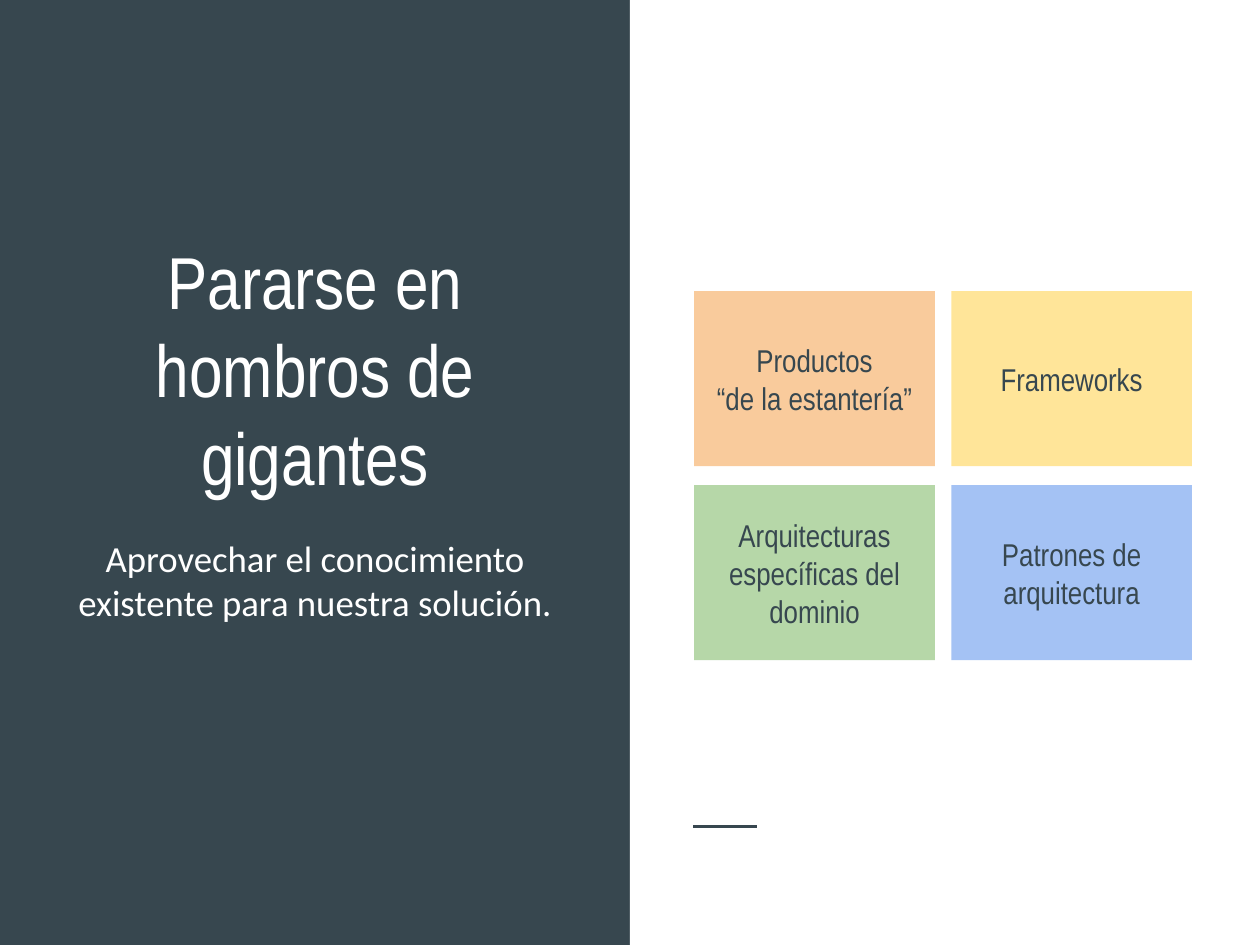
import pptx
import pptx.util
import pptx.dml.color
import pptx.enum.shapes
import pptx.enum.text
import pptx.oxml

Inches = pptx.util.Inches
Anchor = pptx.enum.text.MSO_ANCHOR
RECTANGLE = pptx.enum.shapes.MSO_SHAPE.RECTANGLE
COLORS = {
    "slate": "37474F",
    "white": "FFFFFF",
    "orange": "F9CB9C",
    "yellow": "FFE599",
    "green": "B6D7A8",
    "blue": "A4C2F4",
}


def rgb(name):
    return pptx.dml.color.RGBColor.from_string(COLORS[name])


def write(box, lines, font, size, color, anchor):
    frame = box.text_frame
    frame.text = "\n".join(lines)
    frame.word_wrap = True
    frame.auto_size = pptx.enum.text.MSO_AUTO_SIZE.NONE
    frame.vertical_anchor = anchor
    frame.margin_left = frame.margin_right = Inches(0.1)
    frame.margin_top = frame.margin_bottom = Inches(0.1)
    for para in frame.paragraphs:
        para.alignment = pptx.enum.text.PP_ALIGN.CENTER
        para.font.name = font
        para.font.size = pptx.util.Pt(size)
        para.font.color.rgb = rgb(color)


deck = pptx.Presentation()
deck.slide_width = Inches(10)
deck.slide_height = Inches(7.5)
page = deck.slides.add_slide(deck.slide_layouts[5])
page.background.fill.solid()
page.background.fill.fore_color.rgb = rgb("slate")

panel = page.shapes.add_shape(RECTANGLE, Inches(5), 0, Inches(5), Inches(7.5))
panel.shadow.inherit = False
panel.fill.solid()
panel.fill.fore_color.rgb = rgb("white")
panel.line.fill.background()

rule = page.shapes.add_connector(
    pptx.enum.shapes.MSO_CONNECTOR.STRAIGHT,
    Inches(5.5), Inches(6.56), Inches(6.01), Inches(6.56))
rule.line.color.rgb = rgb("slate")
rule.line.width = pptx.util.Pt(1.5)
rule.element.spPr.append(pptx.oxml.parse_xml(
    '<a:effectLst xmlns:a="http://schemas.openxmlformats.org/drawingml/2006/main"/>'))

title = page.shapes.title
title.left, title.top = Inches(0.29), Inches(1.58)
title.width, title.height = Inches(4.42), Inches(2.49)
write(title, ["Pararse en hombros de gigantes"], "Arial Narrow", 42, "white", Anchor.BOTTOM)

subtitle = page.shapes.add_textbox(Inches(0.29), Inches(4.15), Inches(4.42), Inches(1.96))
write(subtitle, ["Aprovechar el conocimiento existente para nuestra solución."],
      "Calibri", 21, "white", Anchor.TOP)

cards = [
    (["Productos", "“de la estantería”"], "orange"),
    (["Frameworks"], "yellow"),
    (["Arquitecturas específicas del dominio"], "green"),
    (["Patrones de arquitectura"], "blue"),
]
for index, (lines, color) in enumerate(cards):
    row, column = divmod(index, 2)
    card = page.shapes.add_shape(
        RECTANGLE, Inches(5.51 + 2.04 * column), Inches(2.31 + 1.54 * row),
        Inches(1.91), Inches(1.39))
    card.shadow.inherit = False
    card.fill.solid()
    card.fill.fore_color.rgb = rgb(color)
    card.line.fill.background()
    write(card, lines, "Arial Narrow", 18, "slate", Anchor.MIDDLE)

deck.save("out.pptx")
